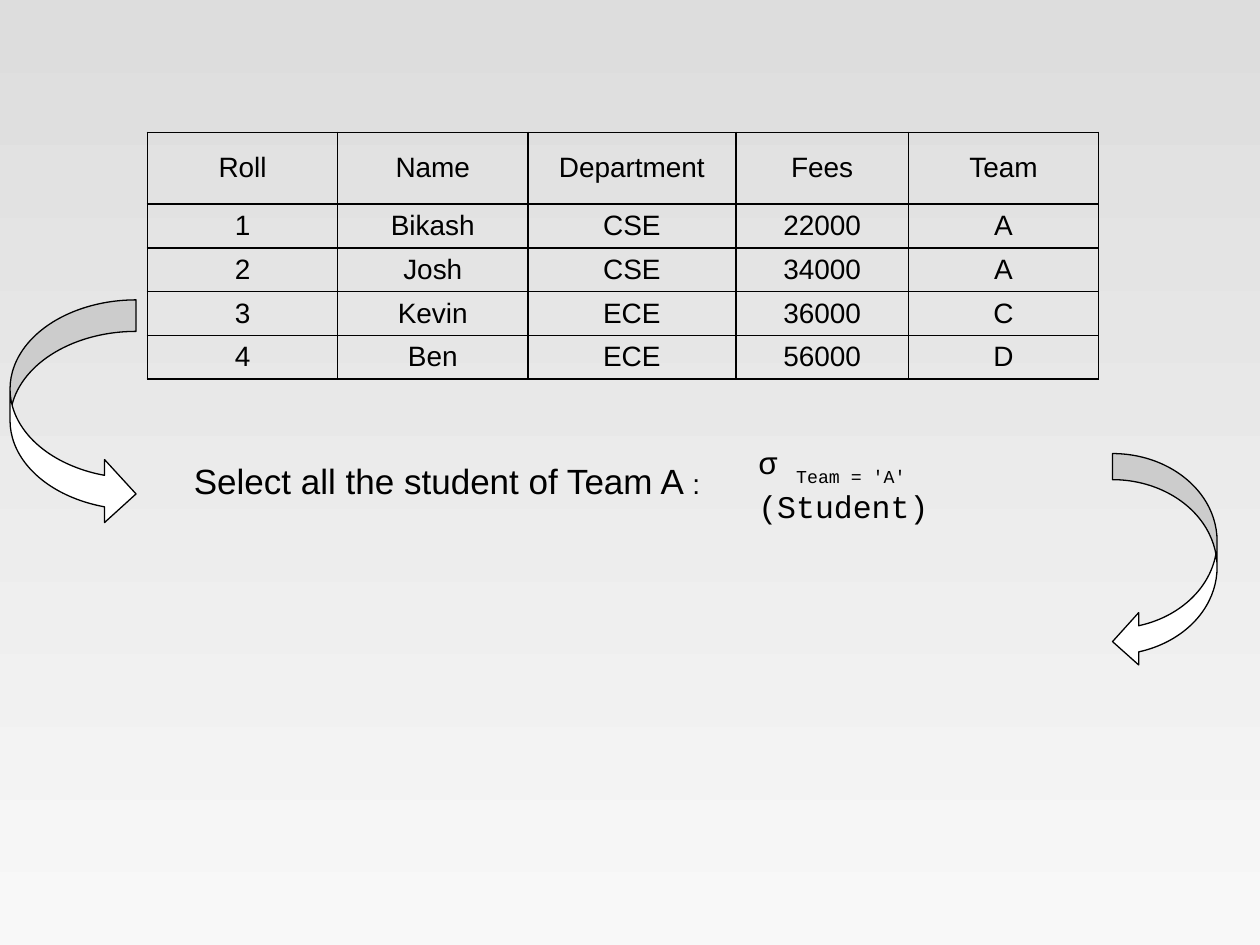
import pptx
import pptx.util
import pptx.dml.color
import pptx.enum.shapes
import pptx.enum.text
import pptx.oxml.ns
import lxml.etree

BLACK = pptx.dml.color.RGBColor(0x00, 0x00, 0x00)
WHITE = pptx.dml.color.RGBColor(0xFF, 0xFF, 0xFF)
TOP_GREY = pptx.dml.color.RGBColor(0xDD, 0xDD, 0xDD)
BOTTOM_GREY = pptx.dml.color.RGBColor(0xF8, 0xF8, 0xF8)

deck = pptx.Presentation()
deck.slide_width = pptx.util.Inches(10)
deck.slide_height = pptx.util.Inches(7.5)
page = deck.slides.add_slide(deck.slide_layouts[6])

# The page is a grid of 100 columns by 75 rows
COLUMN = deck.slide_width / 100
ROW = deck.slide_height / 75


def place(left, top, width, height):
    return [round(n * unit) for n, unit in
            zip((left, top, width, height), (COLUMN, ROW, COLUMN, ROW))]


def write(para, text, size=16, font="Arial", baseline=None):
    span = para.add_run()
    span.text = text
    span.font.size = pptx.util.Pt(size)
    span.font.name = font
    span.font.color.rgb = BLACK
    if baseline is not None:
        span.font._element.set("baseline", str(baseline * 1000))


# Background shading from top to bottom
shading = page.background.fill
shading.gradient()
shading.gradient_angle = 270
for stop, position, color in zip(shading.gradient_stops, (0, 1), (TOP_GREY, BOTTOM_GREY)):
    stop.position = position
    stop.color.rgb = color

# Student table
students = [
    ("Roll", "Name", "Department", "Fees", "Team"),
    ("1", "Bikash", "CSE", "22000", "A"),
    ("2", "Josh", "CSE", "34000", "A"),
    ("3", "Kevin", "ECE", "36000", "C"),
    ("4", "Ben", "ECE", "56000", "D"),
]
widths = (15.1, 15.1, 16.5, 13.7, 15.1)
heights = (5.7,) + (3.45,) * 4
table = page.shapes.add_table(
    len(heights), len(widths), *place(11.7, 10.5, sum(widths), sum(heights))).table
table.first_row = table.horz_banding = False
for column, width in zip(table.columns, widths):
    column.width = round(width * COLUMN)
for row, height, values in zip(table.rows, heights, students):
    row.height = round(height * ROW)
    for cell, value in zip(row.cells, values):
        cell.vertical_anchor = pptx.enum.text.MSO_ANCHOR.MIDDLE
        para = cell.text_frame.paragraphs[0]
        para.alignment = pptx.enum.text.PP_ALIGN.CENTER
        write(para, value)
        properties = cell._tc.get_or_add_tcPr()
        for side in ("a:lnL", "a:lnR", "a:lnT", "a:lnB"):
            border = lxml.etree.SubElement(
                properties, pptx.oxml.ns.qn(side), w=str(pptx.util.Pt(1)))
            paint = lxml.etree.SubElement(border, pptx.oxml.ns.qn("a:solidFill"))
            lxml.etree.SubElement(paint, pptx.oxml.ns.qn("a:srgbClr"), val=str(BLACK))
        cell.fill.background()

# Question
box = page.shapes.add_textbox(*place(14.4, 36, 42.5, 4.4))
box.text_frame.word_wrap = False
box.text_frame.auto_size = pptx.enum.text.MSO_AUTO_SIZE.SHAPE_TO_FIT_TEXT
para = box.text_frame.paragraphs[0]
write(para, "Select all the student of Team A ", size=20)
write(para, ":")

# Selection formula
box = page.shapes.add_textbox(*place(59.2, 36.4, 24.8, 4))
box.text_frame.word_wrap = True
box.text_frame.auto_size = pptx.enum.text.MSO_AUTO_SIZE.SHAPE_TO_FIT_TEXT
box.text_frame.vertical_anchor = pptx.enum.text.MSO_ANCHOR.MIDDLE
para = box.text_frame.paragraphs[0]
for text, baseline in (("σ ", 0), ("Team = 'A'", -30), (" (Student)", 0)):
    write(para, text, size=18, font="Courier New", baseline=baseline)

# Curved arrows from table to question and from formula onwards
kinds = pptx.enum.shapes.MSO_SHAPE
for kind, area in (
    (kinds.CURVED_RIGHT_ARROW, (0.8, 23.8, 10, 17.9)),
    (kinds.CURVED_LEFT_ARROW, (88.3, 36, 8.3, 17)),
):
    arrow = page.shapes.add_shape(kind, *place(*area))
    arrow.shadow.inherit = False
    arrow.fill.solid()
    arrow.fill.fore_color.rgb = WHITE
    arrow.line.color.rgb = BLACK
    arrow.line.width = pptx.util.Pt(0.75)

deck.save("out.pptx")
